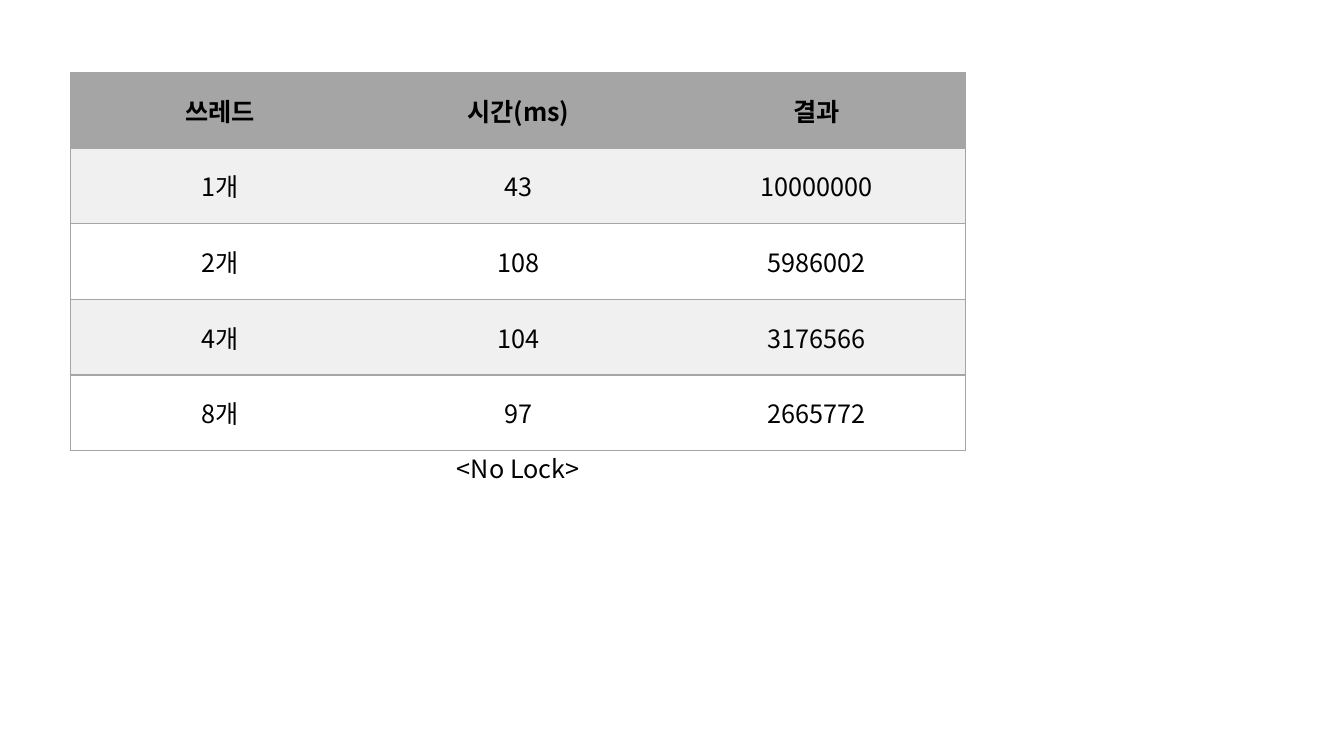
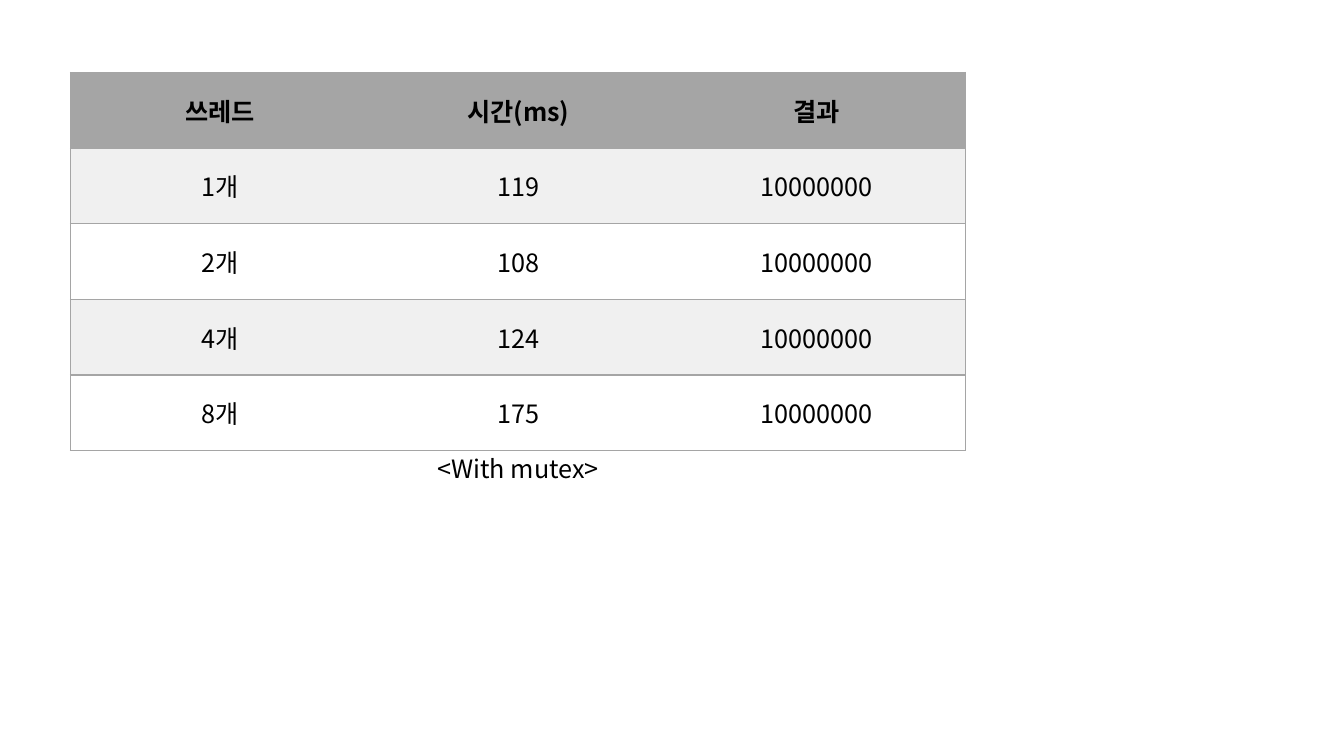
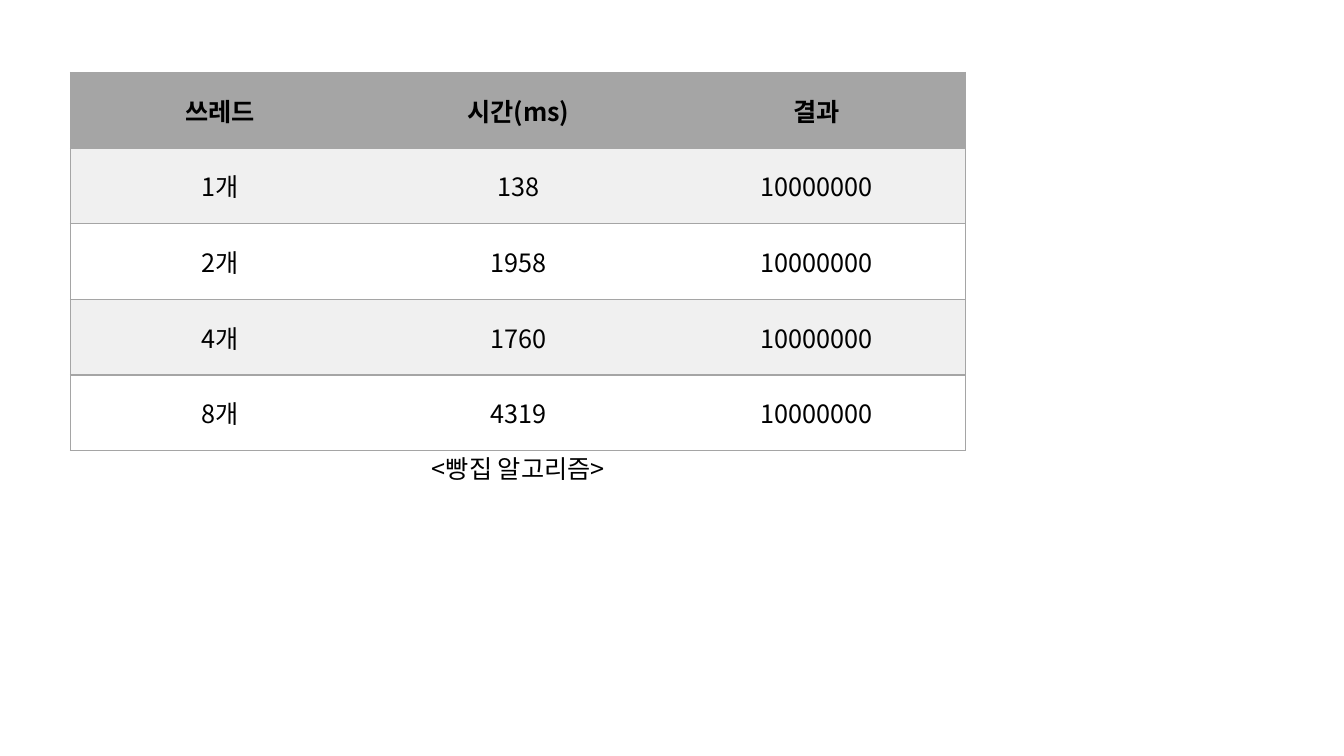
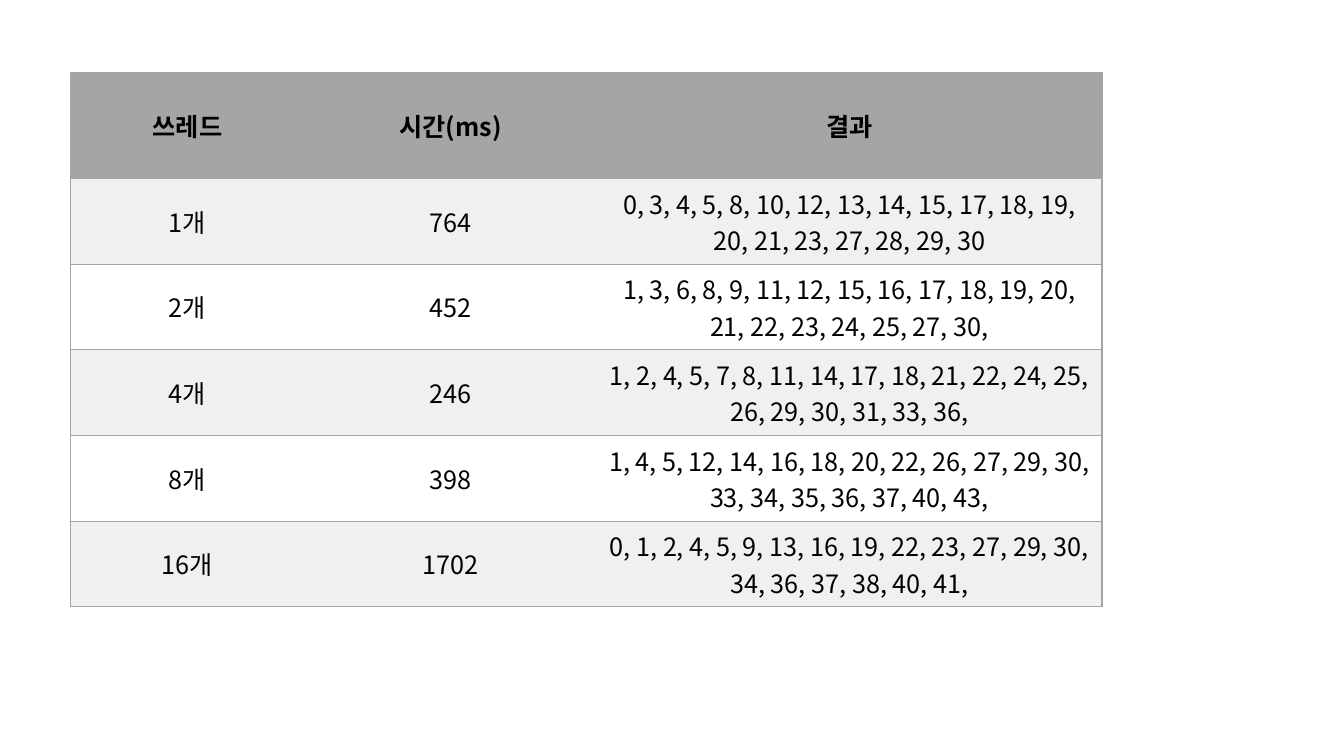
from dataclasses import dataclass

from lxml import etree
from pptx import Presentation
from pptx import util as u
from pptx.dml.color import RGBColor
from pptx.enum import text
from pptx.oxml import ns

# Shared look
FONT = "Noto Sans CJK KR"
BLACK = RGBColor(0x00, 0x00, 0x00)
WHITE = RGBColor(0xFF, 0xFF, 0xFF)
GRAY = RGBColor(0xA5, 0xA5, 0xA5)
PALE = RGBColor(0xF0, 0xF0, 0xF0)
PLAIN = "{2D5ABB26-0587-4C30-8999-92F81FD0307C}"
LEFT, TOP = 0.7, 0.72
HEAD = ("쓰레드", "시간(ms)", "결과")
FULL = "10000000"


@dataclass(frozen=True)
class Trial:
    times: tuple[int, ...]
    results: tuple[str, ...]
    label: str = ""
    cols: tuple[float, ...] = (2.96, 2.96, 2.96)
    head: float = 0.75
    row: float = 0.75


TRIALS = (
    Trial((43, 108, 104, 97), (FULL, "5986002", "3176566", "2665772"), "<No Lock>"),
    Trial((119, 108, 124, 175), (FULL,) * 4, "<With mutex>"),
    Trial((138, 1958, 1760, 4319), (FULL,) * 4, "<빵집 알고리즘>"),
    Trial(
        (764, 452, 246, 398, 1702),
        (
            "0, 3, 4, 5, 8, 10, 12, 13, 14, 15, 17, 18, 19, 20, 21, 23, 27, 28, 29, 30",
            "1, 3, 6, 8, 9, 11, 12, 15, 16, 17, 18, 19, 20, 21, 22, 23, 24, 25, 27, 30,",
            "1, 2, 4, 5, 7, 8, 11, 14, 17, 18, 21, 22, 24, 25, 26, 29, 30, 31, 33, 36,",
            "1, 4, 5, 12, 14, 16, 18, 20, 22, 26, 27, 29, 30, 33, 34, 35, 36, 37, 40, 43,",
            "0, 1, 2, 4, 5, 9, 13, 16, 19, 22, 23, 27, 29, 30, 34, 36, 37, 38, 40, 41,",
        ),
        cols=(2.32, 2.9, 5.01), head=1.05, row=0.85,
    ),
)


def write(frame, words: str, *, size: float = 18, bold: bool = False,
          color: RGBColor = BLACK) -> None:
    """Put centred text in a frame, with the font for Latin and Korean."""
    para = frame.paragraphs[0]
    para.alignment = text.PP_ALIGN.CENTER
    run = para.add_run()
    run.text = words
    font = run.font
    font.size, font.bold, font.name = u.Pt(size), bold, FONT
    font.color.rgb = color
    east = etree.SubElement(run._r.get_or_add_rPr(), ns.qn("a:ea"))
    east.set("typeface", FONT)


def edge(cell, sides: str) -> None:
    """Draw gray borders; sides come in the order L, R, T, B."""
    props = cell._tc.get_or_add_tcPr()
    for side in sides:
        line = etree.SubElement(props, ns.qn(f"a:ln{side}"), w=str(u.Pt(1)))
        fill = etree.SubElement(line, ns.qn("a:solidFill"))
        etree.SubElement(fill, ns.qn("a:srgbClr"), val=str(GRAY))


def grid(slide, trial: Trial) -> None:
    """Draw the table of threads, times and results."""
    rows = [HEAD] + [
        (f"{2 ** n}개", str(time), result)
        for n, (time, result) in enumerate(zip(trial.times, trial.results))
    ]
    high = trial.head + trial.row * len(trial.times)
    table = slide.shapes.add_table(
        len(rows), len(HEAD), u.Inches(LEFT), u.Inches(TOP),
        u.Inches(sum(trial.cols)), u.Inches(high)).table
    table.first_row = table.horz_banding = False
    table._tbl.tblPr.find(ns.qn("a:tableStyleId")).text = PLAIN
    for col, wide in zip(table.columns, trial.cols):
        col.width = u.Inches(wide)
    last = len(HEAD) - 1
    for r, row in enumerate(rows):
        table.rows[r].height = u.Inches(trial.row if r else trial.head)
        shade = (PALE if r % 2 else WHITE) if r else GRAY
        for c, words in enumerate(row):
            cell = table.cell(r, c)
            edge(cell, {0: "LTB", last: "RTB"}.get(c, "TB"))
            cell.fill.solid()
            cell.fill.fore_color.rgb = shade
            cell.vertical_anchor = text.MSO_ANCHOR.MIDDLE
            write(cell.text_frame, words, bold=r == 0)


def label(slide, trial: Trial) -> None:
    """Write the caption under the table."""
    box = slide.shapes.add_textbox(
        u.Inches(LEFT), u.Inches(4.45), u.Inches(sum(trial.cols)), u.Inches(0.4))
    frame = box.text_frame
    frame.word_wrap = True
    frame.auto_size = text.MSO_AUTO_SIZE.SHAPE_TO_FIT_TEXT
    write(frame, trial.label)


# Build the deck
deck = Presentation()
deck.slide_width, deck.slide_height = u.Inches(13.33), u.Inches(7.5)
blank = deck.slide_layouts[6]
for trial in TRIALS:
    slide = deck.slides.add_slide(blank)
    grid(slide, trial)
    if trial.label:
        label(slide, trial)
deck.save("out.pptx")
